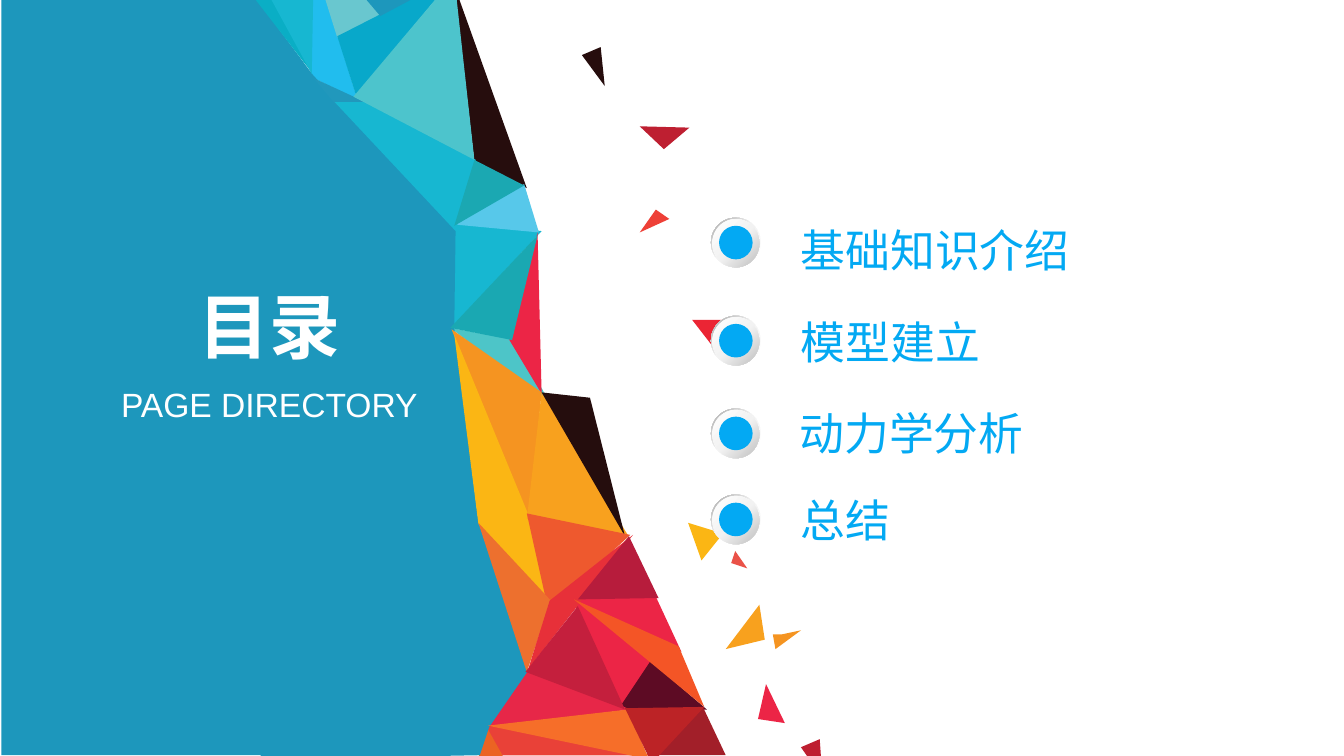
from copy import deepcopy
from pptx import Presentation
from pptx.dml.color import RGBColor
from pptx.enum.shapes import MSO_SHAPE as Geo
from pptx.enum.text import MSO_AUTO_SIZE as Fit, PP_ALIGN as Align
from pptx.oxml.ns import qn
from pptx.util import Pt

PX = 9144  # one px is a hundredth of an inch
BLUE, SKY, WHITE = "1D97BC", "03A9F3", "FFFFFF"


def rgb(code):
    return RGBColor.from_string(code)


class Deck:
    font = "Arial"

    def __init__(self, wide):
        self.prs = Presentation()
        self.prs.slide_width = wide * PX
        self.prs.slide_height = wide * PX * 9 // 16
        self.slide = self.prs.slides.add_slide(self.prs.slide_layouts[6])
        self.shapes = self.slide.shapes

    def paint(self, shape, color):
        shape.shadow.inherit = False
        shape.line.fill.background()
        shape.fill.solid()
        shape.fill.fore_color.rgb = rgb(color)

    def shape(self, geo, x, y, w, h, color, home=None):
        item = (home or self.shapes).add_shape(geo, x * PX, y * PX, w * PX, h * PX)
        self.paint(item, color)
        return item

    def facet(self, color, *points):
        pen = self.shapes.build_freeform(*points[0], scale=PX)
        pen.add_line_segments(points[1:], close=True)
        self.paint(pen.convert_to_shape(), color)

    def shade(self, shape, angle, stops):
        fill = shape.fill
        fill.gradient()
        fill.gradient_angle = angle
        group = shape._element.spPr.find(".//" + qn("a:gsLst"))
        group.append(deepcopy(group[0]))
        for stop, (place, color) in zip(fill.gradient_stops, stops):
            stop.position = place
            stop.color.rgb = rgb(color)

    def button(self, x, y):
        home = self.shapes.add_group_shape().shapes
        ring = self.shape(Geo.DONUT, x, y, 37, 37, WHITE, home)
        ring.adjustments[0] = 0.05
        self.shade(ring, 135, [(0, WHITE), (0.55, "F2F2F2"), (1, "A6A6A6")])
        disc = self.shape(Geo.OVAL, x + 1, y + 1, 35, 36, WHITE, home)
        self.shade(disc, 315, [(0, WHITE), (0.51, "F2F2F2"), (1, "BFBFBF")])
        self.shape(Geo.OVAL, x + 6, y + 6, 25, 25, SKY, home)

    def text(self, words, x, y, w, h, size, color, align=Align.LEFT, bold=False, wrap=True):
        frame = self.shapes.add_textbox(x * PX, y * PX, w * PX, h * PX).text_frame
        frame.word_wrap, frame.auto_size = wrap, Fit.SHAPE_TO_FIT_TEXT
        para = frame.paragraphs[0]
        para.text, para.alignment = words, align
        font = para.font
        font.name, font.size, font.bold = self.font, Pt(size), bold
        font.color.rgb = rgb(color)

    def save(self):
        self.prs.save("out.pptx")


# Mosaic edge, back to front
MOSAIC = [
    ("EC2546", (422, 438), (464, 528), (490, 496)),
    ("5D0B24", (460, 528), (526, 528), (484, 492)),
    ("260D0D", (338, -11), (392, 140), (353, 120)),
    ("A21F29", (523, 526), (540, 562), (483, 562)),
    ("EC2546", (425, 445), (507, 485), (488, 444)),
    ("E94138", (357, 538), (369, 562), (487, 562)),
    ("E72748", (394, 497), (361, 541), (469, 528)),
    ("4DC5C8", (335, 244), (384, 253), (409, 300)),
    ("17B7D1", (338, 163), (403, 172), (335, 245)),
    ("57C8EA", (337, 167), (390, 137), (401, 173)),
    ("EB6323", (361, 539), (356, 564), (375, 564)),
    ("21BDEE", (233, -5), (242, -3), (266, 74), (231, 57), (231, 25)),
    (BLUE, (192, 1), (233, 56), (339, 171), (338, 244), (356, 388), (393, 499),
     (364, 541), (357, 562), (194, 565)),
    ("0AAEC5", (188, -3), (203, -1), (232, 54)),
    ("17B7D1", (202, 0), (233, -1), (232, 55)),
    ("2198BC", (233, 58), (274, 77), (250, 78)),
    ("17B7D1", (274, 76), (354, 119), (339, 172), (249, 76)),
    ("1BA8B2", (353, 119), (390, 138), (338, 168)),
    ("69C7CF", (241, -4), (265, -10), (285, 11), (251, 28)),
    ("08A8CA", (251, 27), (265, 71), (338, -17), (304, 0)),
    ("EC2546", (400, 173), (379, 253), (403, 293)),
    ("4DC4CC", (338, -17), (353, 119), (263, 72)),
    ("1AA8B2", (400, 175), (381, 253), (335, 244)),
    ("F59421", (336, 245), (403, 292), (394, 387)),
    ("FBB614", (338, 249), (356, 390), (409, 449), (394, 385)),
    ("F8A11E", (403, 292), (392, 386), (467, 398)),
    ("250D0D", (403, 292), (439, 296), (465, 399)),
    ("EE592E", (392, 382), (408, 454), (469, 398)),
    ("ED702E", (356, 389), (410, 447), (392, 500)),
    ("E73039", (409, 447), (471, 398), (393, 498)),
    ("B71C3C", (430, 446), (490, 445), (468, 399)),
    ("C41F3D", (430, 451), (465, 528), (391, 500)),
    ("F45526", (427, 446), (524, 526), (505, 481)),
    ("F66E29", (363, 540), (467, 528), (483, 565)),
    ("BC2326", (465, 527), (524, 526), (485, 568)),
    (BLUE, (271, -2), (283, 12), (313, -4)),
]

# Loose splinters
SPLINTERS = [
    ("EE4037", (488, 156), (476, 173), (498, 163)),
    ("EB2534", (515, 238), (544, 238), (539, 269)),
    ("BE1F31", (476, 94), (513, 95), (494, 111)),
    ("FBB614", (512, 389), (538, 397), (522, 417)),
    ("F8A11E", (565, 450), (540, 483), (569, 476)),
    ("EC2546", (570, 509), (564, 535), (584, 538)),
    ("F59421", (575, 472), (582, 472), (596, 469), (577, 483)),
    ("EA5248", (547, 410), (556, 423), (544, 419)),
    ("260D0D", (447, 35), (433, 41), (450, 64)),
    ("BE1F31", (610, 550), (596, 556), (612, 579)),
]

# Label, its left, top and width, and the top of its button
TOPICS = [
    ("模型建立", 586, 229, 228, 235),
    ("基础知识介绍", 586, 161, 258, 162),
    ("动力学分析", 585, 297, 261, 304),
    ("总结", 586, 362, 256, 368),
]


def main():
    deck = Deck(1000)

    # Left panel and facets
    deck.shape(Geo.RECTANGLE, 1, -1, 206, 563, BLUE)
    for color, *points in MOSAIC + SPLINTERS:
        deck.facet(color, *points)

    # Topics
    for label, x, y, wide, top in TOPICS:
        deck.text(label, x, y, wide, 50, 24, SKY)
        deck.button(529, top)

    # Title
    deck.text("目录", 137, 205, 127, 74, 38, WHITE, Align.CENTER, True, False)
    deck.text("PAGE DIRECTORY", 79, 281, 243, 40, 18, WHITE, Align.CENTER, wrap=False)
    deck.save()


if __name__ == "__main__":
    main()
